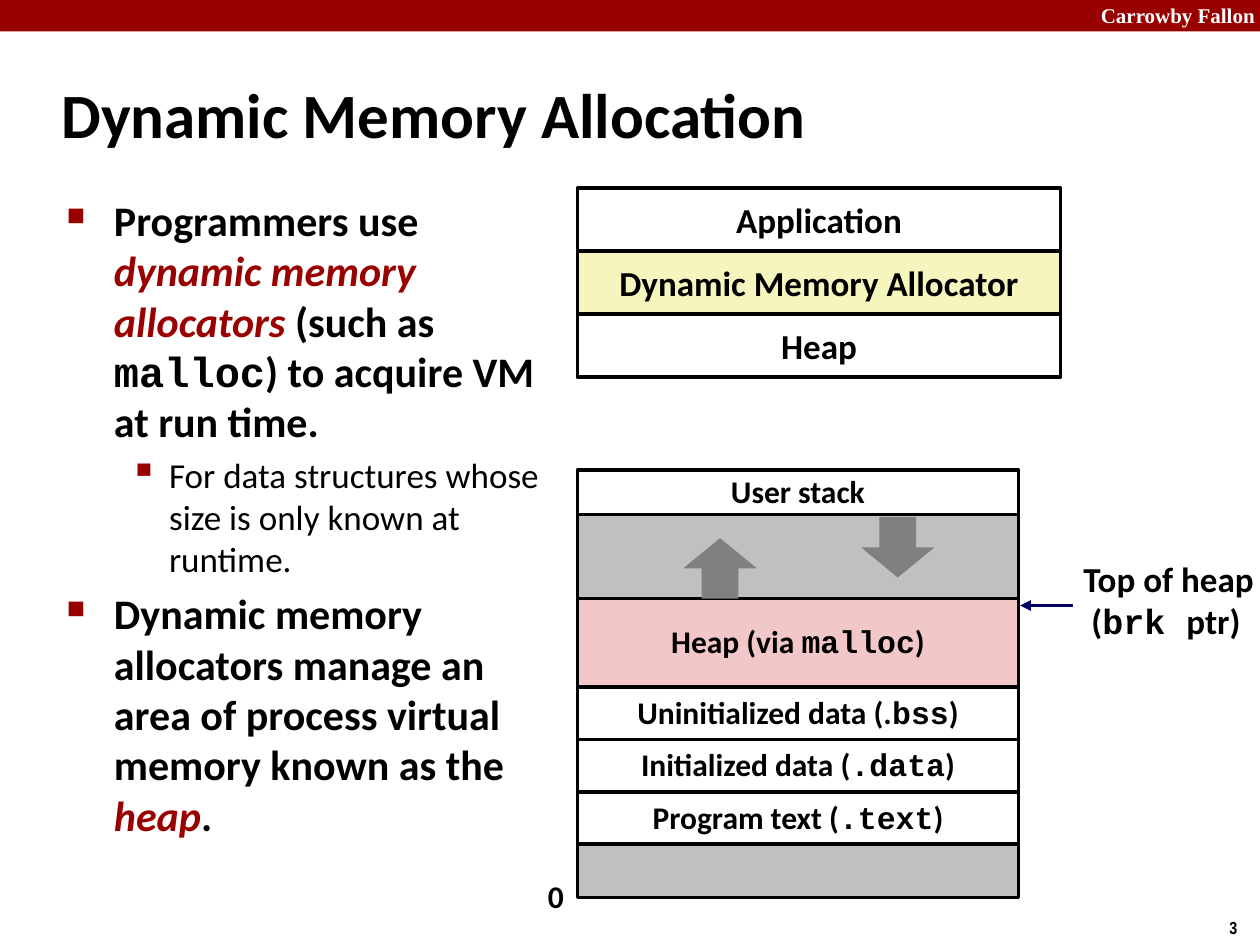
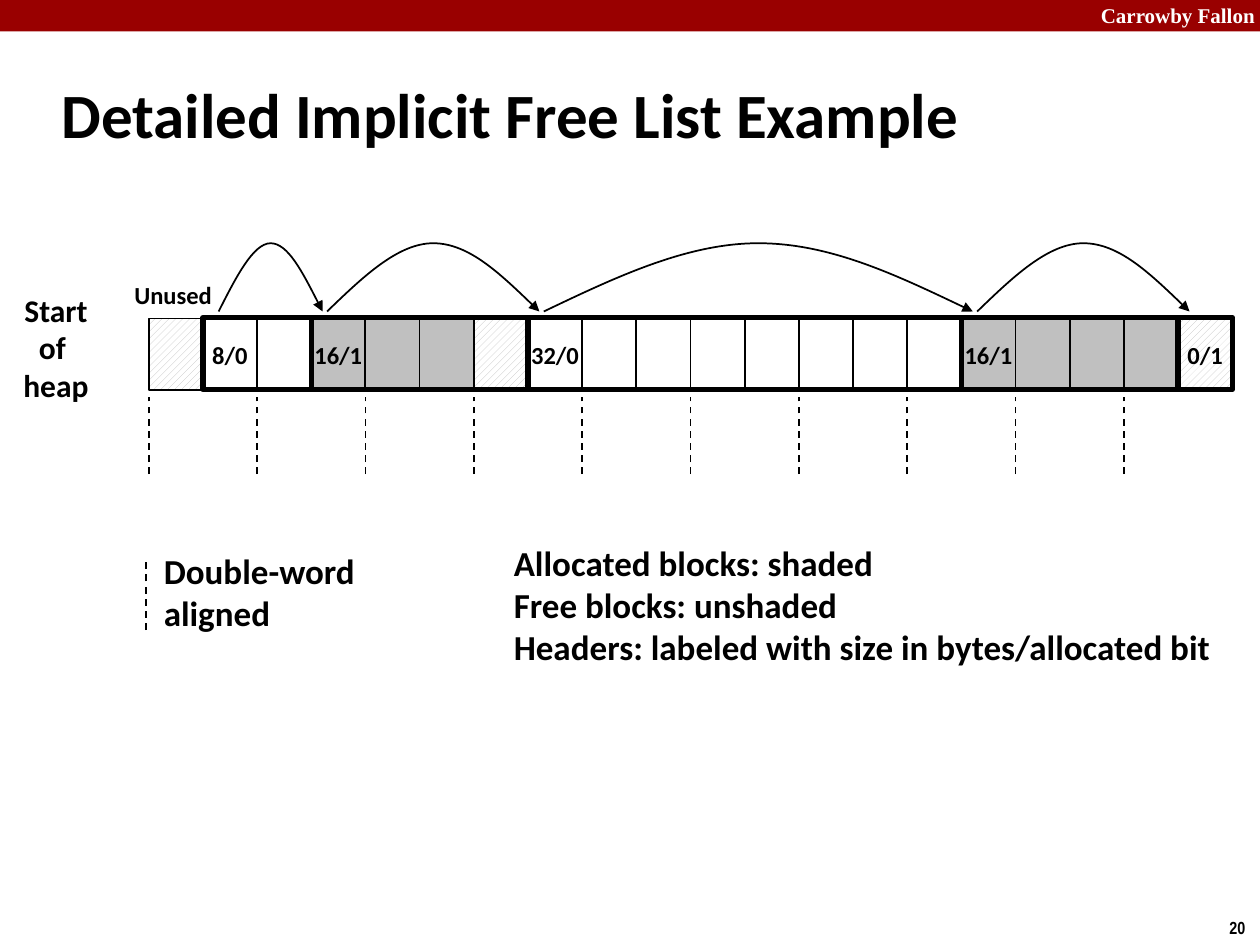
from itertools import accumulate
from lxml.etree import SubElement
from pptx import Presentation
from pptx.dml.color import RGBColor
from pptx.enum.dml import MSO_LINE, MSO_PATTERN
from pptx.enum.shapes import MSO_CONNECTOR, MSO_SHAPE
from pptx.enum.text import MSO_ANCHOR, PP_ALIGN
from pptx.oxml.ns import qn
from pptx.util import Pt

BLACK, WHITE, RED, NAVY = "000000", "FFFFFF", "990000", "000066"
GRAY, DARK_GRAY, YELLOW, PINK = "C0C0C0", "808080", "F6F5BD", "F1C7C7"
HATCH = "hatch"
BODY_FONT, MONO_FONT = "Calibri", "Courier New"
LEFT, CENTER = PP_ALIGN.LEFT, PP_ALIGN.CENTER
TOP, MIDDLE = MSO_ANCHOR.TOP, MSO_ANCHOR.MIDDLE


def rgb(value):
    return RGBColor.from_string(value)


def mono(text):
    return text, "mono"


def emphasis(text):
    return text, "emphasis"


def write_runs(paragraph, runs, size, color=BLACK, bold=True, font=BODY_FONT):
    paragraph.font.size = Pt(size)
    paragraph.font.bold = bold
    paragraph.font.name = font
    paragraph.font.color.rgb = rgb(color)
    for item in runs:
        text, style = item if isinstance(item, tuple) else (item, None)
        run = paragraph.add_run()
        run.text = text
        if style == "mono":
            run.font.name = MONO_FONT
        elif style == "emphasis":
            run.font.italic = True
            run.font.color.rgb = rgb(RED)


def write_lines(shape, lines, size, align=LEFT, anchor=TOP, wrap=False, spacing=None, **font):
    frame = shape.text_frame
    frame.word_wrap = wrap
    frame.vertical_anchor = anchor
    for index, runs in enumerate(lines):
        paragraph = frame.paragraphs[0] if index == 0 else frame.add_paragraph()
        paragraph.alignment = align
        if spacing:
            paragraph.line_spacing = spacing
        write_runs(paragraph, runs, size, **font)


def add_label(slide, box, lines, size, **options):
    shape = slide.shapes.add_textbox(*map(Pt, box))
    write_lines(shape, lines, size, **options)
    return shape


def add_box(slide, box, fill=None, line=None, kind=MSO_SHAPE.RECTANGLE):
    shape = slide.shapes.add_shape(kind, *map(Pt, box))
    shape.shadow.inherit = False
    if fill == HATCH:
        shape.fill.patterned()
        shape.fill.pattern = MSO_PATTERN.WIDE_UPWARD_DIAGONAL
        shape.fill.fore_color.rgb = rgb(GRAY)
        shape.fill.back_color.rgb = rgb(WHITE)
    elif fill:
        shape.fill.solid()
        shape.fill.fore_color.rgb = rgb(fill)
    else:
        shape.fill.background()
    if line:
        shape.line.color.rgb = rgb(BLACK)
        shape.line.width = Pt(line)
    else:
        shape.line.fill.background()
    return shape


def add_arrowhead(shape):
    SubElement(shape.line._get_or_add_ln(), qn("a:tailEnd"), type="triangle")


def add_line(slide, start, end, color=BLACK, width=1, dashed=False, arrow=False):
    line = slide.shapes.add_connector(MSO_CONNECTOR.STRAIGHT, *map(Pt, start + end))
    line.line.color.rgb = rgb(color)
    line.line.width = Pt(width)
    if dashed:
        line.line.dash_style = MSO_LINE.DASH
    if arrow:
        add_arrowhead(line)
    SubElement(line._element.spPr, qn("a:effectLst"))


def add_arc(slide, box):
    left, top, width, height = box
    points = [(1 / 6, 0.5), (1 / 3, 0), (1 / 2, 0), (2 / 3, 0), (5 / 6, 0.5), (1, 1)]
    builder = slide.shapes.build_freeform(Pt(left), Pt(top + height))
    builder.add_line_segments(
        [(Pt(left + x * width), Pt(top + y * height)) for x, y in points], close=False)
    shape = builder.convert_to_shape()
    outline = next(shape._element.iter(qn("a:path")))
    segments = outline.findall(qn("a:lnTo"))
    for first in (0, 3):
        curve = SubElement(outline, qn("a:cubicBezTo"))
        for segment in segments[first:first + 3]:
            curve.append(segment[0])
            outline.remove(segment)
    shape.shadow.inherit = False
    shape.fill.background()
    shape.line.color.rgb = rgb(BLACK)
    shape.line.width = Pt(1)
    add_arrowhead(shape)


def add_base_slide(presentation, title, number):
    slide = presentation.slides.add_slide(presentation.slide_layouts[6])
    add_box(slide, (0, 0, 720, 18), RED)
    add_label(slide, (622, -2, 103, 22), [["Carrowby Fallon"]], 12,
              wrap=True, color=WHITE, font="Times New Roman")
    add_label(slide, (28, 34.5, 598, 60), [[title]], 36, anchor=MIDDLE, wrap=True)
    add_label(slide, (695.5, 520.5, 24.5, 19.5), [[number]], 10, font="Arial Narrow")
    return slide


def add_bullets(slide, box, items):
    frame = slide.shapes.add_textbox(*map(Pt, box)).text_frame
    frame.word_wrap = True
    levels = [(24, 27, 27, "■", 60000, True), (20, 58.5, 22.5, "▪", 110000, False)]
    for index, (level, runs) in enumerate(items):
        size, margin, hanging, mark, scale, bold = levels[level]
        paragraph = frame.paragraphs[0] if index == 0 else frame.add_paragraph()
        paragraph.level = level
        properties = paragraph._p.get_or_add_pPr()
        properties.set("marL", str(Pt(margin)))
        properties.set("indent", str(-Pt(hanging)))
        color = SubElement(properties, qn("a:buClr"))
        SubElement(color, qn("a:srgbClr"), val=RED)
        SubElement(properties, qn("a:buSzPct"), val=str(scale))
        SubElement(properties, qn("a:buChar"), char=mark)
        paragraph.space_before = Pt(size * 0.2)
        write_runs(paragraph, runs, size, bold=bold)


def add_stack(slide, box, rows, size, spacing=None):
    left, top, width = box
    offsets = accumulate((height for height, _, _ in rows), initial=0)
    for offset, (height, fill, runs) in zip(offsets, rows):
        shape = add_box(slide, (left, top + offset, width, height), fill, 2)
        if runs:
            write_lines(shape, [runs], size, align=CENTER, anchor=MIDDLE, spacing=spacing)


def add_memory_map(slide, left, top):
    rows = [
        (25.5, WHITE, ["User stack"]),
        (48, GRAY, []),
        (50.5, PINK, ["Heap (via ", mono("malloc"), ")"]),
        (30, WHITE, ["Uninitialized data (.", mono("bss"), ")"]),
        (30, WHITE, ["Initialized data (", mono(".data"), ")"]),
        (30, WHITE, ["Program text (", mono(".text"), ")"]),
        (30.5, GRAY, []),
    ]
    width = 252
    add_stack(slide, (left, top, width), rows, 18, spacing=0.98)
    add_label(slide, (left - 24, top + 230, 24, 29), [["0"]], 18, spacing=0.98)
    add_label(slide, (left + 282, top + 48, 112, 55),
              [["Top of heap"], [" (", mono("brk "), "ptr)"]], 20, spacing=0.98)
    arrow_y = top + 77.5
    add_line(slide, (left + width + 31, arrow_y), (left + width + 1, arrow_y),
             NAVY, 2, arrow=True)
    add_box(slide, (left + 162, top + 27, 42, 34.5), DARK_GRAY, kind=MSO_SHAPE.DOWN_ARROW)
    add_box(slide, (left + 60.5, top + 39, 42, 34.5), DARK_GRAY, kind=MSO_SHAPE.UP_ARROW)


def add_free_list(slide, left, top):
    pitch, height = 30.96, 41
    blocks = [(1, 2, "8/0"), (3, 4, "16/1"), (7, 8, "32/0"), (15, 4, "16/1"), (19, 1, "0/1")]
    headers = {first: label for first, _, label in blocks}
    fills = [HATCH] + [WHITE] * 2 + [GRAY] * 3 + [HATCH] + [WHITE] * 8 + [GRAY] * 4 + [HATCH]

    for index, fill in enumerate(fills):
        cell = add_box(slide, (left + index * pitch, top, pitch, height), fill, 1)
        if index in headers:
            write_lines(cell, [[headers[index]]], 14, align=CENTER, anchor=MIDDLE)
    for first, count, _ in blocks:
        add_box(slide, (left + first * pitch, top - 0.5, count * pitch, height), line=3)
    for (first, _, _), (following, _, _) in zip(blocks, blocks[1:]):
        start, end = left + first * pitch + 9, left + following * pitch + 6.5
        add_arc(slide, (start, top - 43, end - start, 39))
    for index in range(0, len(fills), 2):
        x = left + index * pitch
        add_line(slide, (x, top + 89), (x, top + 45), dashed=True)

    add_label(slide, (left - 79, top - 20, 52, 73), [["Start "], ["of "], ["heap"]], 18,
              align=CENTER, anchor=MIDDLE)
    add_label(slide, (left - 19, top - 27, 66, 26.5), [["Unused"]], 14,
              align=CENTER, anchor=MIDDLE)


def add_legend(slide, left, top):
    add_line(slide, (left, top + 54), (left, top + 14.5), dashed=True)
    add_label(slide, (left + 3, top + 4.5, 147, 55.5), [["Double-word"], ["aligned"]], 20,
              anchor=MIDDLE, wrap=True)
    add_label(slide, (left + 203, top, 417, 80),
              [["Allocated blocks: shaded"], ["Free blocks: unshaded"],
               ["Headers: labeled with size in bytes/allocated bit"]], 20)


def build_allocation_slide(presentation):
    slide = add_base_slide(presentation, "Dynamic Memory Allocation", "3")
    add_bullets(slide, (31, 107.5, 298, 391.5), [
        (0, ["Programmers use ", emphasis("dynamic memory allocators "), "(such as ",
             mono("malloc"), ") to acquire VM at run time. "]),
        (1, ["For data structures whose size is only known at runtime."]),
        (0, ["Dynamic memory allocators manage an area of process virtual memory known as the ",
             emphasis("heap"), ". "]),
    ])
    add_memory_map(slide, 330, 268.5)
    add_stack(slide, (330, 107.5, 276), [
        (36, WHITE, ["Application"]),
        (36, YELLOW, ["Dynamic Memory Allocator"]),
        (36, WHITE, ["Heap"]),
    ], 20)


def build_free_list_slide(presentation):
    slide = add_base_slide(presentation, "Detailed Implicit Free List Example", "20")
    add_free_list(slide, 85, 182)
    add_legend(slide, 83.5, 306)


presentation = Presentation()
presentation.slide_width, presentation.slide_height = Pt(720), Pt(540)
build_allocation_slide(presentation)
build_free_list_slide(presentation)
presentation.save("out.pptx")
